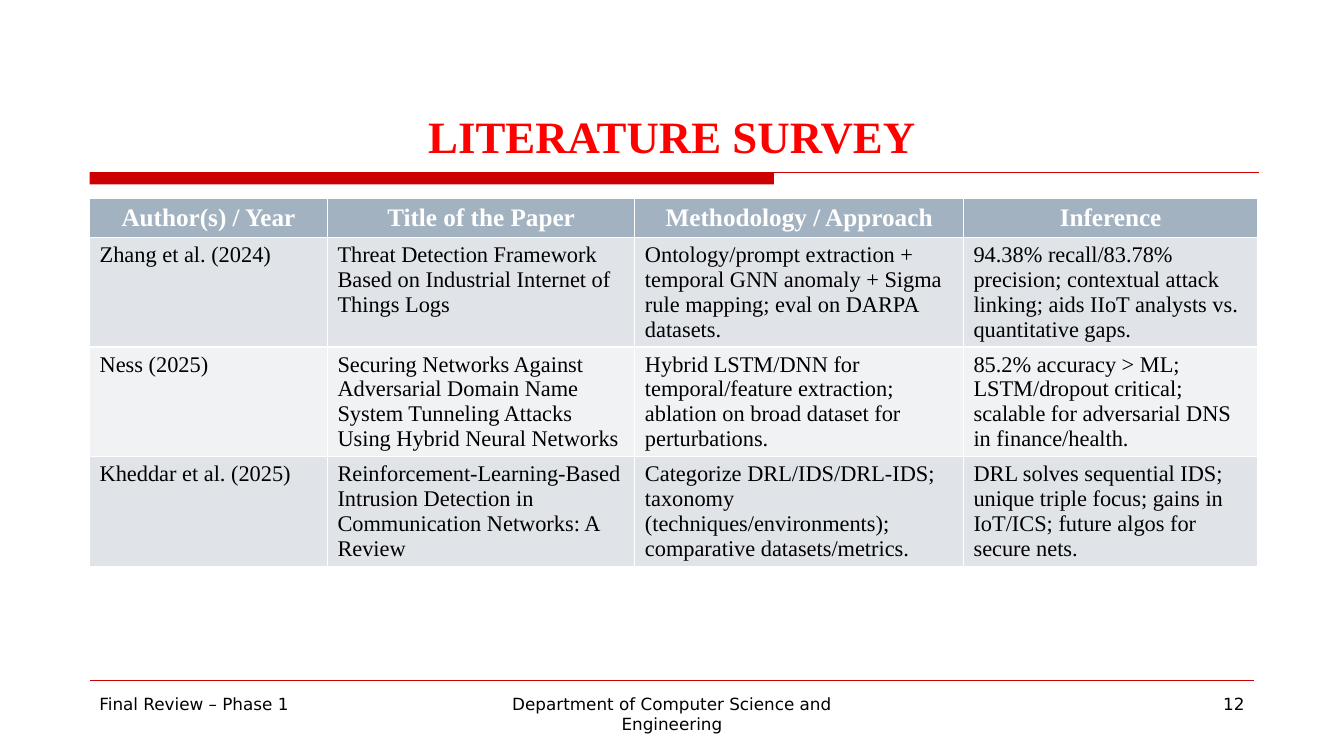
from lxml import etree
from pptx import Presentation
from pptx.dml.color import RGBColor
from pptx.enum.shapes import MSO_CONNECTOR, MSO_SHAPE
from pptx.enum.text import MSO_ANCHOR, MSO_AUTO_SIZE, PP_ALIGN
from pptx.oxml.ns import qn
from pptx.util import Inches, Pt

LEFT, MID, RIGHT = PP_ALIGN.LEFT, PP_ALIGN.CENTER, PP_ALIGN.RIGHT
LOW, FIXED = MSO_ANCHOR.BOTTOM, MSO_AUTO_SIZE.NONE
RECT, LINE = MSO_SHAPE.RECTANGLE, MSO_CONNECTOR.STRAIGHT

WHITE = RGBColor(0xFF, 0xFF, 0xFF)
BLACK = RGBColor(0x00, 0x00, 0x00)
RED = RGBColor(0xFF, 0x00, 0x00)
CRIMSON = RGBColor(0xCC, 0x00, 0x00)
STEEL = RGBColor(0xA3, 0xB2, 0xC1)
MIST = RGBColor(0xE0, 0xE4, 0xE9)
PALE = RGBColor(0xF0, 0xF2, 0xF4)

SERIF, SANS = "Times New Roman", "DejaVu Sans"
COLS, ROWS = 120, 100
EDGE = 8

WIDTHS = [21.24, 27.45, 29.34, 26.28]
HEIGHTS = [5.1, 14.5, 14.5, 14.5]
PAPERS = [
    ["Author(s) / Year", "Title of the Paper", "Methodology / Approach", "Inference"],
    ["Zhang et al. (2024)",
     "Threat Detection Framework Based on Industrial Internet of Things Logs",
     "Ontology/prompt extraction + temporal GNN anomaly + Sigma rule mapping; "
     "eval on DARPA datasets.",
     "94.38% recall/83.78% precision; contextual attack linking; "
     "aids IIoT analysts vs. quantitative gaps."],
    ["Ness (2025)",
     "Securing Networks Against Adversarial Domain Name System Tunneling Attacks "
     "Using Hybrid Neural Networks",
     "Hybrid LSTM/DNN for temporal/feature extraction; "
     "ablation on broad dataset for perturbations.",
     "85.2% accuracy > ML; LSTM/dropout critical; "
     "scalable for adversarial DNS in finance/health."],
    ["Kheddar et al. (2025)",
     "Reinforcement-Learning-Based Intrusion Detection in Communication Networks: "
     "A Review",
     "Categorize DRL/IDS/DRL-IDS; taxonomy (techniques/environments); "
     "comparative datasets/metrics.",
     "DRL solves sequential IDS; unique triple focus; gains in IoT/ICS; "
     "future algos for secure nets."],
]
FOOTER = [
    (EDGE, 26, "Final Review – Phase 1", LEFT),
    (41, 38, "Department of Computer Science and Engineering", MID),
    (86, 26, "12", RIGHT),
]


class Deck:
    def __init__(self):
        self.show = Presentation()
        self.show.slide_width = Inches(13.33)
        self.show.slide_height = Inches(7.5)
        self.slide = self.show.slides.add_slide(self.show.slide_layouts[5])
        self.shapes = self.slide.shapes

    def across(self, cols):
        return round(self.show.slide_width * cols / COLS)

    def down(self, rows):
        return round(self.show.slide_height * rows / ROWS)

    def box(self, left, top, width, height):
        return self.across(left), self.down(top), self.across(width), self.down(height)

    def label(self, frame, text, size, font, color, align=LEFT, bold=False):
        frame.word_wrap = True
        line = frame.paragraphs[0]
        line.alignment = align
        run = line.add_run()
        run.text = text
        run.font.size = Pt(size)
        run.font.name = font
        run.font.bold = bold
        run.font.color.rgb = color

    def title(self, text, *area):
        shape = self.shapes.title
        shape.left, shape.top, shape.width, shape.height = self.box(*area)
        frame = shape.text_frame
        frame.auto_size = FIXED
        frame.vertical_anchor = LOW
        self.label(frame, text, 32, SERIF, RED, MID, True)

    def bar(self, *area):
        shape = self.shapes.add_shape(RECT, *self.box(*area))
        shape.shadow.inherit = False
        shape.fill.solid()
        shape.fill.fore_color.rgb = CRIMSON
        shape.line.fill.background()

    def rule(self, left, right, row, weight):
        high = self.down(row)
        line = self.shapes.add_connector(
            LINE, self.across(left), high, self.across(right), high)
        line.line.color.rgb = CRIMSON
        line.line.width = Pt(weight)
        etree.SubElement(line._element.spPr, qn("a:effectLst"))

    def note(self, text, align, *area):
        frame = self.shapes.add_textbox(*self.box(*area)).text_frame
        self.label(frame, text, 12, SANS, BLACK, align)

    def table(self, data, left, top):
        area = self.box(left, top, sum(WIDTHS), sum(HEIGHTS))
        grid = self.shapes.add_table(len(data), len(WIDTHS), *area).table
        for col, width in zip(grid.columns, WIDTHS):
            col.width = self.across(width)
        for row, height in zip(grid.rows, HEIGHTS):
            row.height = self.down(height)
        for r, texts in enumerate(data):
            head = r == 0
            fill = STEEL if head else MIST if r % 2 else PALE
            style = (18, SERIF, WHITE, MID, True) if head else (16, SERIF, BLACK)
            for c, text in enumerate(texts):
                cell = grid.cell(r, c)
                cell.fill.solid()
                cell.fill.fore_color.rgb = fill
                self.label(cell.text_frame, text, *style)


def main():
    deck = Deck()
    deck.bar(EDGE, 22.8, 61.1, 1.6)
    deck.rule(EDGE, 112.4, 22.8, 0.75)
    deck.rule(EDGE, 112, 90, 0.25)
    deck.table(PAPERS, EDGE, 26.3)
    for left, width, text, align in FOOTER:
        deck.note(text, align, left, 91.1, width, 6.9)
    deck.title("LITERATURE SURVEY", 7.5, 4.4, 105, 17.75)
    deck.show.save("out.pptx")


if __name__ == "__main__":
    main()
